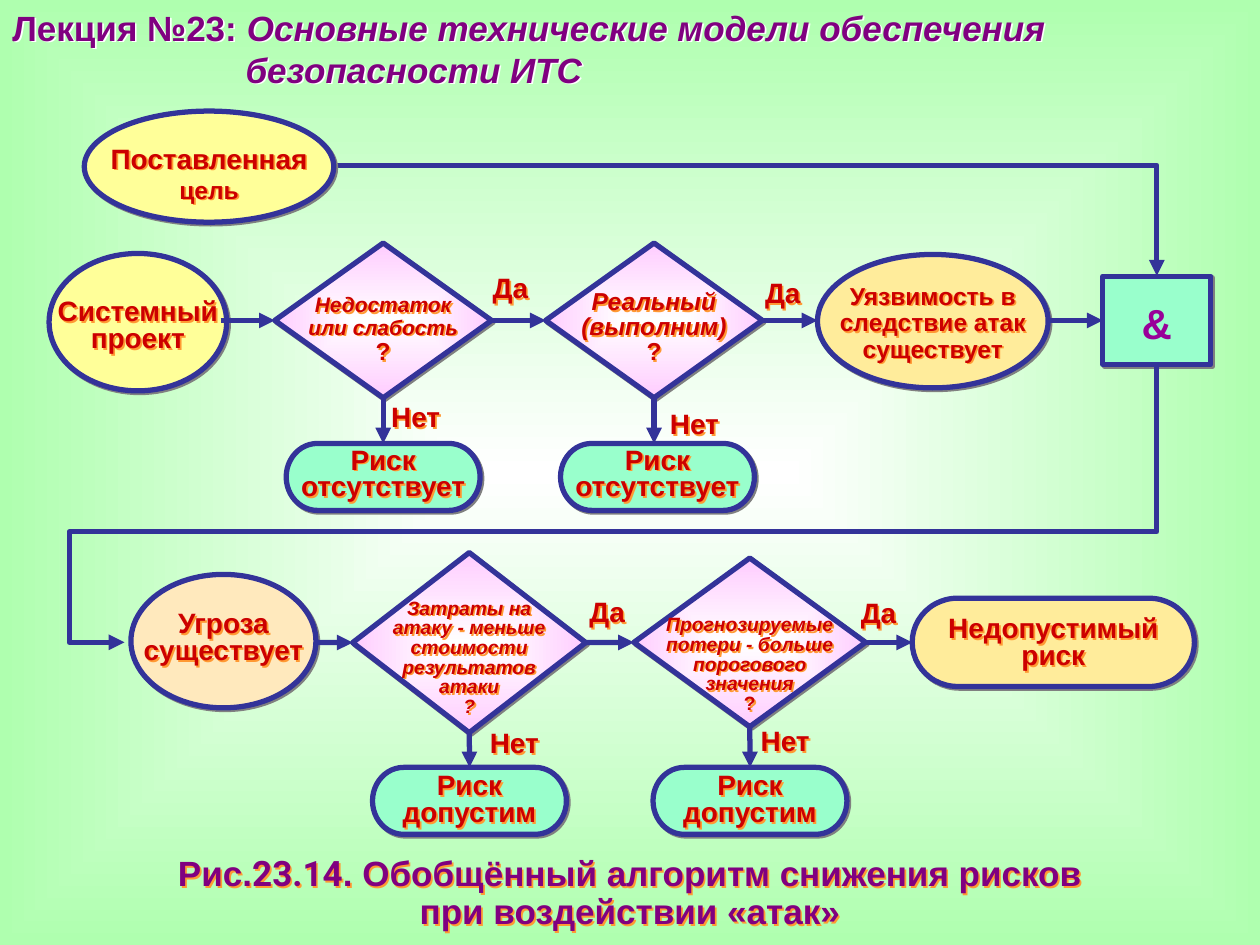
from lxml.etree import SubElement
from pptx import Presentation
from pptx.dml.color import RGBColor
from pptx.enum.shapes import MSO_CONNECTOR, MSO_SHAPE as SHAPE
from pptx.enum.text import MSO_ANCHOR, MSO_AUTO_SIZE, PP_ALIGN
from pptx.oxml.ns import qn
from pptx.util import Cm, Pt

NAVY = RGBColor(0x33, 0x33, 0x99)
RED = RGBColor(0xCC, 0, 0)
PURPLE = RGBColor(0x80, 0, 0x80)
VIOLET = RGBColor(0x99, 0, 0x99)
YELLOW = RGBColor(0xFF, 0xFF, 0x99)
AMBER = RGBColor(0xFF, 0xEC, 0x9B)
PEACH = RGBColor(0xFF, 0xE9, 0xBD)
MINT = RGBColor(0x99, 0xFF, 0xCC)
PINK = RGBColor(0xFF, 0xCC, 0xFF)
GREEN = RGBColor(0xAF, 0xFF, 0xAF)
WHITE = RGBColor(0xFF, 0xFF, 0xFF)
GRAY = RGBColor(0x80, 0x80, 0x80)
ORANGE = RGBColor(0xFF, 0x99, 0x33)

OVAL = SHAPE.FLOWCHART_CONNECTOR
PILL = SHAPE.FLOWCHART_TERMINATOR
TOP, LEFT, BOTTOM, RIGHT = range(4)


def path_gradient(fill, element, inner, outer):
    fill.gradient()
    for stop, color in zip(fill.gradient_stops, (inner, outer)):
        stop.color.rgb = color
    grad = element.find('.//' + qn('a:gradFill'))
    grad.remove(grad.find(qn('a:lin')))
    path = SubElement(grad, qn('a:path'), path='shape')
    SubElement(path, qn('a:fillToRect'), **dict.fromkeys('ltrb', '50000'))


def add_shadow(sp, color):
    sp.shadow.inherit = False
    effects = sp._element.spPr.find(qn('a:effectLst'))
    shadow = SubElement(effects, qn('a:outerShdw'), blurRad='0',
                        dist=str(Pt(1.4)), dir='2700000', algn='ctr', rotWithShape='0')
    SubElement(shadow, qn('a:srgbClr'), val=str(color))


def style_font(font, size, color, italic=False):
    font.name = 'Arial'
    font.size = Pt(size)
    font.bold = True
    font.italic = italic
    font.color.rgb = color


def add_text(s, box, lines, size, color=RED, spacing=0.8, italic=False, shadow=ORANGE):
    sp = s.shapes.add_textbox(*map(Cm, box))
    tf = sp.text_frame
    tf.word_wrap = True
    tf.auto_size = MSO_AUTO_SIZE.SHAPE_TO_FIT_TEXT
    tf.vertical_anchor = MSO_ANCHOR.MIDDLE
    tf.margin_left = tf.margin_right = tf.margin_top = tf.margin_bottom = 0
    for i, line in enumerate(lines):
        p = tf.add_paragraph() if i else tf.paragraphs[0]
        p.alignment = PP_ALIGN.CENTER
        p.line_spacing = spacing
        style_font(p.font, size, color, italic)
        for part in [line] if isinstance(line, str) else line:
            p.add_run().text = part
    if shadow:
        add_shadow(sp, shadow)
    return tf


def add_node(s, box, kind, fill, text_size, dy, lines, size, **style):
    x, y, w, h = box
    sp = s.shapes.add_shape(kind, *map(Cm, box))
    if kind == SHAPE.DIAMOND:
        path_gradient(sp.fill, sp._element, WHITE, fill)
    else:
        sp.fill.solid()
        sp.fill.fore_color.rgb = fill
    sp.line.color.rgb = NAVY
    sp.line.width = Pt(3)
    add_shadow(sp, GRAY)
    tw, th = text_size
    text_box = (x + (w - tw) / 2, y + (h - th) / 2 + dy, tw, th)
    return sp, add_text(s, text_box, lines, size, **style)


def style_arrow(sp):
    sp.line.color.rgb = NAVY
    sp.line.width = Pt(3)
    sp_pr = sp._element.spPr
    SubElement(sp_pr.find(qn('a:ln')), qn('a:tailEnd'), type='triangle')
    SubElement(sp_pr, qn('a:effectLst'))


def add_arrow(s, start, end, source=None, target=None):
    cx = s.shapes.add_connector(MSO_CONNECTOR.STRAIGHT, *map(Cm, start + end))
    across = start[1] == end[1]
    if source:
        cx.begin_connect(source, RIGHT if across else BOTTOM)
    if target:
        cx.end_connect(target, LEFT if across else TOP)
    style_arrow(cx)


def add_route(s, points):
    points = [(Cm(x), Cm(y)) for x, y in points]
    builder = s.shapes.build_freeform(*points[0])
    builder.add_line_segments(points[1:], close=False)
    sp = builder.convert_to_shape()
    sp.fill.background()
    style_arrow(sp)


def add_labels(s, x, y, labels):
    for text, dx, dy in labels:
        add_text(s, (x + dx, y + dy, 1.02, 0.53), [text], 16)


def add_title(s, box):
    sp = s.shapes.add_textbox(*map(Cm, box))
    add_shadow(sp, WHITE)
    tf = sp.text_frame
    tf.word_wrap = True
    first, second = tf.paragraphs[0], tf.add_paragraph()
    second._p.get_or_add_pPr().set('marL', str(Cm(4.7)))
    style_font(first.font, 20, PURPLE)
    style_font(second.font, 20, PURPLE, True)
    first.add_run().text = 'Лекция №23: '
    r = first.add_run()
    r.text = 'Основные технические модели обеспечения'
    r.font.italic = True
    second.add_run().text = 'безопасности ИТС'


def add_goal(s, box):
    x, y, w, h = box
    axis = y + 1.09
    add_route(s, [(x + 2.74, axis), (x + w, axis), (x + w, y + h)])
    _, tf = add_node(s, (x, y, 5.03, 2.24), OVAL, YELLOW, (4.19, 1.27), 0.12,
                     [('Поставленная', ' цель')], 16, spacing=1.0)
    tf.paragraphs[0].runs[1].font.size = Pt(14)


def add_vulnerability_row(s, box):
    x, y, w, h = box
    axis = y + 1.56
    add_node(s, (x, y + 0.21, 3.58, 2.77), OVAL, YELLOW, (3.43, 1.09), 0.1,
             ['Системный проект'], 16)
    flaw, tf = add_node(s, (x + 4.55, y, 4.37, 3.12), SHAPE.DIAMOND, PINK,
                        (3.23, 1.45), 0.2, ['Недостаток или слабость', '?'], 12,
                        spacing=0.9, italic=True)
    style_font(tf.paragraphs[1].font, 14, RED)
    real, tf = add_node(s, (x + 10.01, y, 4.37, 3.12), SHAPE.DIAMOND, PINK,
                        (3.23, 1.5), 0.16, ['Реальный', '(выполним)', '?'], 14,
                        spacing=0.85, italic=True)
    tf.paragraphs[2].font.italic = False
    add_node(s, (x + 15.49, y + 0.23, 4.65, 2.69), OVAL, AMBER, (4.39, 1.6), 0.05,
             ['Уязвимость в следствие атак существует'], 14, spacing=0.9)
    gate, _ = add_node(s, (x + w - 2.18, y + 0.67, 2.18, 1.78), SHAPE.RECTANGLE, MINT,
                       (1.09, 1.02), 0.05, ['&'], 24, color=VIOLET, spacing=1.0, shadow=None)
    for left, source in ((4.78, flaw), (10.31, real)):
        add_node(s, (x + left, y + h - 1.35, 3.91, 1.35), PILL, MINT, (3.43, 1.09), -0.03,
                 ['Риск', 'отсутствует'], 16)
        cx = (source.left + source.width / 2) / Cm(1)
        add_arrow(s, (cx, y + 3.12), (cx, y + h - 1.35), source)
    for start, end, source, target in ((3.46, 4.55, None, flaw), (8.92, 10.01, flaw, real),
                                       (14.38, 15.49, real, None), (20.14, 21.24, None, gate)):
        add_arrow(s, (x + start, axis), (x + end, axis), source, target)
    add_labels(s, x, y, [('Да', 8.79, 0.69), ('Да', 14.28, 0.79),
                         ('Нет', 6.88, 3.3), ('Нет', 12.5, 3.43)])


def add_threat_row(s, box):
    x, y, w, h = box
    axis = y + 5.58
    gate_x, turn = x + w - 0.76, y + 3.35
    add_route(s, [(gate_x, y), (gate_x, turn), (x, turn), (x, axis), (x + 1.11, axis)])
    add_node(s, (x + 1.24, axis - 1.37, 3.73, 2.69), OVAL, PEACH, (3.35, 1.09), -0.04,
             ['Угроза', 'существует'], 16)
    cost, _ = add_node(s, (x + 5.71, axis - 1.81, 4.7, 3.63), SHAPE.DIAMOND, PINK,
                       (3.76, 2.39), 0.32,
                       ['Затраты на', 'атаку - меньше стоимости результатов', 'атаки', '?'],
                       11, spacing=0.85, italic=True)
    loss, tf = add_node(s, (x + 11.38, axis - 1.7, 4.67, 3.4), SHAPE.DIAMOND, PINK,
                        (3.76, 2.01), 0.46,
                        ['Прогнозируемые потери - больше порогового', 'значения', '?'],
                        11, spacing=0.85, italic=True)
    tf.paragraphs[2].font.italic = False
    risk, _ = add_node(s, (x + w - 5.69, axis - 0.89, 5.69, 1.78), PILL, AMBER,
                       (5.16, 1.09), 0.03, ['Недопустимый риск'], 16)
    for source in (cost, loss):
        cx = (source.left + source.width / 2) / Cm(1)
        bottom = (source.top + source.height) / Cm(1)
        pill, _ = add_node(s, (cx - 1.95, y + h - 1.35, 3.91, 1.35), PILL, MINT,
                           (3.43, 1.09), 0, ['Риск', 'допустим'], 16)
        add_arrow(s, (cx, bottom), (cx, y + h - 1.35), source, pill)
    for start, end, source, target in ((4.97, 5.71, None, cost), (10.41, 11.38, cost, loss),
                                       (16.05, 16.99, loss, risk)):
        add_arrow(s, (x + start, axis), (x + end, axis), source, target)
    add_labels(s, x, y, [('Да', 10.33, 4.75), ('Да', 15.8, 4.77),
                         ('Нет', 8.46, 7.39), ('Нет', 13.92, 7.36)])


def add_caption(s, box):
    tf = add_text(s, box, [('Рис.', '23.14', '. Обобщённый алгоритм снижения рисков'),
                           'при воздействии «атак»'], 20, color=PURPLE, spacing=0.9)
    tf.paragraphs[0].runs[1].font.name = 'Roboto'


def main():
    prs = Presentation()
    prs.slide_width, prs.slide_height = Cm(25.4), Cm(19.05)
    s = prs.slides.add_slide(prs.slide_layouts[6])
    path_gradient(s.background.fill, s._element, WHITE, GREEN)
    add_title(s, (0, 0, 25.4, 1.96))
    add_goal(s, (1.7, 2.24, 21.62, 3.32))
    add_vulnerability_row(s, (0.99, 4.9, 23.42, 5.39))
    add_threat_row(s, (1.4, 7.37, 22.68, 9.45))
    add_caption(s, (0, 17.27, 25.4, 1.52))
    prs.save("out.pptx")


if __name__ == "__main__":
    main()
